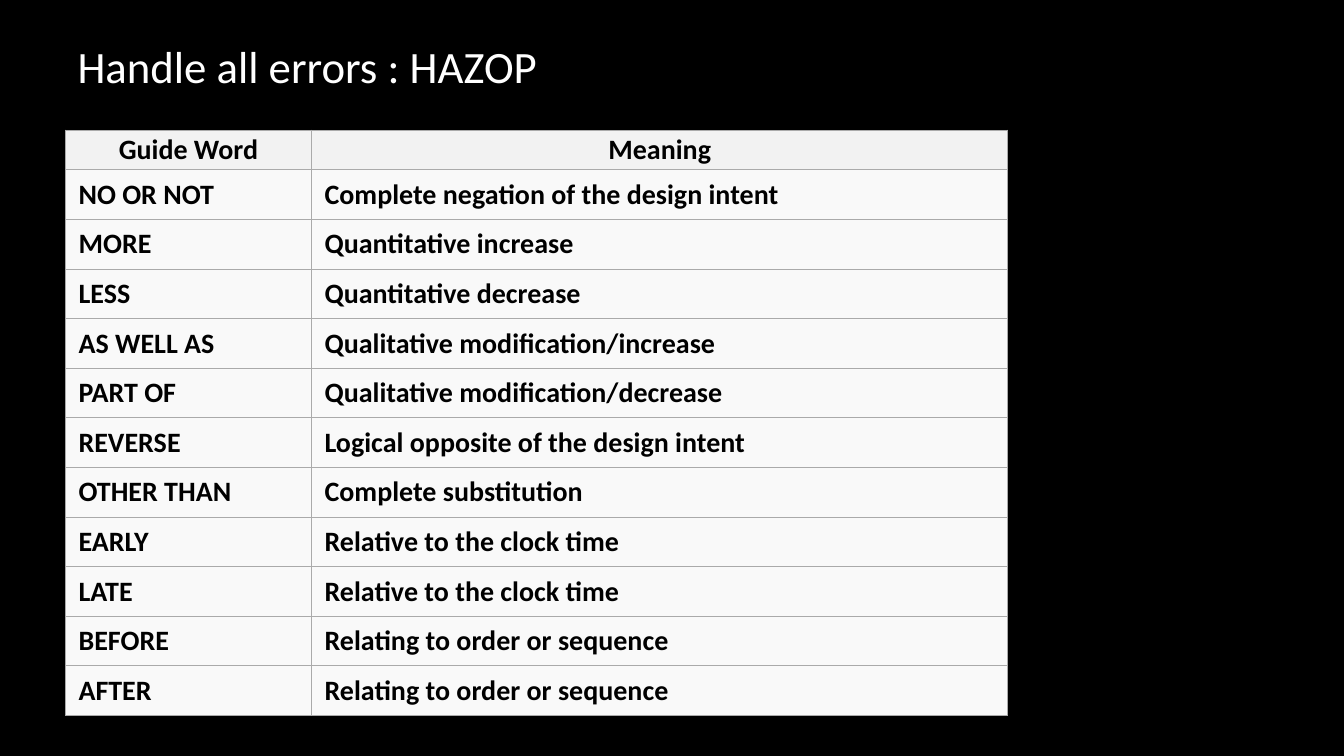
from dataclasses import dataclass

from lxml import etree
from pptx import Presentation
from pptx.dml.color import RGBColor
from pptx.enum.text import MSO_ANCHOR, MSO_AUTO_SIZE, PP_ALIGN
from pptx.oxml.ns import qn
from pptx.slide import Slide
from pptx.table import _Cell
from pptx.text.text import _Paragraph
from pptx.util import Cm, Pt

LEFT, CENTER = PP_ALIGN.LEFT, PP_ALIGN.CENTER
MIDDLE = MSO_ANCHOR.MIDDLE
NO_AUTOFIT = MSO_AUTO_SIZE.NONE
TITLE_ONLY_LAYOUT = 5


@dataclass(frozen=True)
class Theme:
    font: str = "Calibri"
    title_size: int = 32
    table_size: int = 20
    background: str = "000000"
    title_text: str = "FFFFFF"
    table_text: str = "000000"
    border: str = "AAAAAA"
    border_width: float = 0.75


@dataclass(frozen=True)
class RowStyle:
    height: float
    indent: float
    fill: str
    align: PP_ALIGN


@dataclass(frozen=True)
class GuideWord:
    word: str
    meaning: str


THEME = Theme()
HEADER_STYLE = RowStyle(1.0, 0.03, "F2F2F2", CENTER)
BODY_STYLE = RowStyle(1.25, 0.33, "F9F9F9", LEFT)
CELL_MARGIN = 0.03
COLUMN_WIDTHS = (6.2, 17.55)

HEADER = GuideWord("Guide Word", "Meaning")
GUIDE_WORDS = (
    GuideWord("NO OR NOT", "Complete negation of the design intent"),
    GuideWord("MORE", "Quantitative increase"),
    GuideWord("LESS", "Quantitative decrease"),
    GuideWord("AS WELL AS", "Qualitative modification/increase"),
    GuideWord("PART OF", "Qualitative modification/decrease"),
    GuideWord("REVERSE", "Logical opposite of the design intent"),
    GuideWord("OTHER THAN", "Complete substitution"),
    GuideWord("EARLY", "Relative to the clock time"),
    GuideWord("LATE", "Relative to the clock time"),
    GuideWord("BEFORE", "Relating to order or sequence"),
    GuideWord("AFTER", "Relating to order or sequence"),
)


def format_text(para: _Paragraph, size: int, color: str, bold: bool, align: PP_ALIGN) -> None:
    para.alignment = align
    for span in para.runs:
        span.font.name = THEME.font
        span.font.size = Pt(size)
        span.font.bold = bold
        span.font.color.rgb = RGBColor.from_string(color)


def add_borders(cell: _Cell) -> None:
    properties = cell._tc.get_or_add_tcPr()
    # Border lines must come before the cell fill
    for position, side in enumerate(("a:lnL", "a:lnR", "a:lnT", "a:lnB")):
        line = etree.Element(qn(side), w=str(Pt(THEME.border_width)))
        fill = etree.SubElement(line, qn("a:solidFill"))
        etree.SubElement(fill, qn("a:srgbClr"), val=THEME.border)
        properties.insert(position, line)


def fill_cell(cell: _Cell, text: str, style: RowStyle) -> None:
    cell.text_frame.text = text
    cell.vertical_anchor = MIDDLE
    cell.margin_left = Cm(style.indent)
    cell.margin_right = cell.margin_top = cell.margin_bottom = Cm(CELL_MARGIN)
    cell.fill.solid()
    cell.fill.fore_color.rgb = RGBColor.from_string(style.fill)
    format_text(cell.text_frame.paragraphs[0], THEME.table_size, THEME.table_text, True, style.align)
    add_borders(cell)


def add_title(page: Slide, text: str) -> None:
    title = page.shapes.title
    title.left, title.top, title.width, title.height = Cm(1.7), Cm(0.76), Cm(30.48), Cm(1.78)
    frame = title.text_frame
    frame.text = text
    frame.auto_size = NO_AUTOFIT
    frame.vertical_anchor = MIDDLE
    format_text(frame.paragraphs[0], THEME.title_size, THEME.title_text, False, LEFT)


def add_guide_table(page: Slide) -> None:
    rows = [(HEADER, HEADER_STYLE)] + [(entry, BODY_STYLE) for entry in GUIDE_WORDS]
    height = sum(style.height for _, style in rows)
    table = page.shapes.add_table(
        len(rows), len(COLUMN_WIDTHS), Cm(1.65), Cm(3.28), Cm(sum(COLUMN_WIDTHS)), Cm(height)
    ).table
    table.horz_banding = False
    for column, width in zip(table.columns, COLUMN_WIDTHS):
        column.width = Cm(width)
    for row, (entry, style) in zip(table.rows, rows):
        row.height = Cm(style.height)
        for cell, text in zip(row.cells, (entry.word, entry.meaning)):
            fill_cell(cell, text, style)


def main() -> None:
    # Deck and black page
    deck = Presentation()
    deck.slide_width, deck.slide_height = Cm(33.87), Cm(19.05)
    page = deck.slides.add_slide(deck.slide_layouts[TITLE_ONLY_LAYOUT])
    page.background.fill.solid()
    page.background.fill.fore_color.rgb = RGBColor.from_string(THEME.background)

    # Title and table of guide words
    add_title(page, "Handle all errors : HAZOP")
    add_guide_table(page)
    deck.save("out.pptx")


if __name__ == "__main__":
    main()
